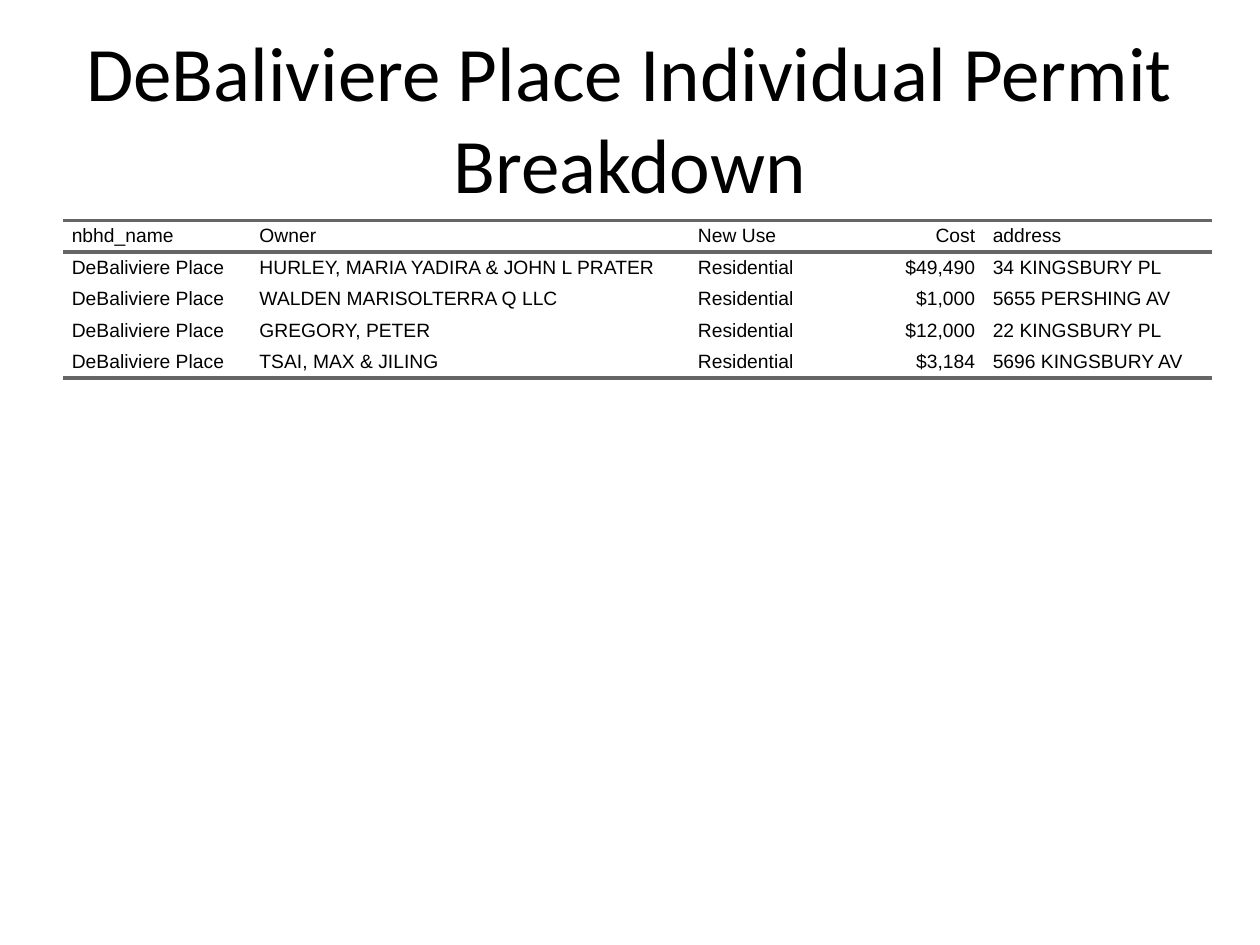
from lxml.etree import SubElement as Sub
from pptx import Presentation
from pptx.dml.color import RGBColor
from pptx.enum.text import MSO_ANCHOR as Anchor, PP_ALIGN as Align
from pptx.oxml.ns import qn
from pptx.util import Inches, Pt

# Content
TITLE = "DeBaliviere Place Individual Permit Breakdown"
PLACE, USE = "DeBaliviere Place", "Residential"
HEAD = ("nbhd_name", "Owner", "New Use", "Cost", "address")
PERMITS = [
    ("HURLEY, MARIA YADIRA & JOHN L PRATER", "$49,490", "34 KINGSBURY PL"),
    ("WALDEN MARISOLTERRA Q LLC", "$1,000", "5655 PERSHING AV"),
    ("GREGORY, PETER", "$12,000", "22 KINGSBURY PL"),
    ("TSAI, MAX & JILING", "$3,184", "5696 KINGSBURY AV"),
]
ROWS = [HEAD] + [(PLACE, owner, USE, cost, street)
                 for owner, cost, street in PERMITS]

# Format
BLACK = RGBColor(0x00, 0x00, 0x00)
GREY = RGBColor(0x66, 0x66, 0x66)
WIDTHS = (1.49, 3.48, 1.04, 1.3, 1.81)
ROW_H = 0.25
PLAIN = "{2D5ABB26-0587-4C30-8999-92F81FD0307C}"  # no style, no grid
CELL = {
    "margin_left": Inches(0.07),
    "margin_right": Inches(0.07),
    "margin_top": 0,
    "margin_bottom": 0,
    "vertical_anchor": Anchor.MIDDLE,
}


def write(frame, text, face, size, align):
    par = frame.paragraphs[0]
    par.alignment = align
    run = par.add_run()
    run.text = text
    font = run.font
    font.name, font.size = face, Pt(size)
    font.color.rgb = BLACK


def rule(cell, tag):
    line = Sub(cell._tc.get_or_add_tcPr(), qn(tag), w=str(Pt(2)))
    fill = Sub(line, qn("a:solidFill"))
    Sub(fill, qn("a:srgbClr"), val=str(GREY))


deck = Presentation()
deck.slide_width, deck.slide_height = Inches(10), Inches(7.5)
slide = deck.slides.add_slide(deck.slide_layouts[6])

# Title
box = slide.shapes.add_textbox(Inches(0.5), Inches(0.3), Inches(9), Inches(1.25))
frame = box.text_frame
frame.word_wrap = True
frame.vertical_anchor = Anchor.MIDDLE
write(frame, TITLE, "Calibri", 44, Align.CENTER)

# Permit table
table = slide.shapes.add_table(
    len(ROWS), len(HEAD), Inches(0.5), Inches(1.75),
    Inches(sum(WIDTHS)), Inches(ROW_H * len(ROWS))).table
table.first_row = table.horz_banding = False
table._tbl.tblPr[0].text = PLAIN
for col, width in zip(table.columns, WIDTHS):
    col.width = Inches(width)

for r, row in enumerate(ROWS):
    table.rows[r].height = Inches(ROW_H)
    for c, text in enumerate(row):
        cell = table.cell(r, c)
        for name, value in CELL.items():
            setattr(cell, name, value)
        align = Align.RIGHT if HEAD[c] == "Cost" else Align.LEFT
        write(cell.text_frame, text, "Arial", 11, align)
        # Rules around the header and below the last row
        if r == 0:
            rule(cell, "a:lnT")
        if r in (0, len(ROWS) - 1):
            rule(cell, "a:lnB")
        cell.fill.background()

deck.save("out.pptx")
